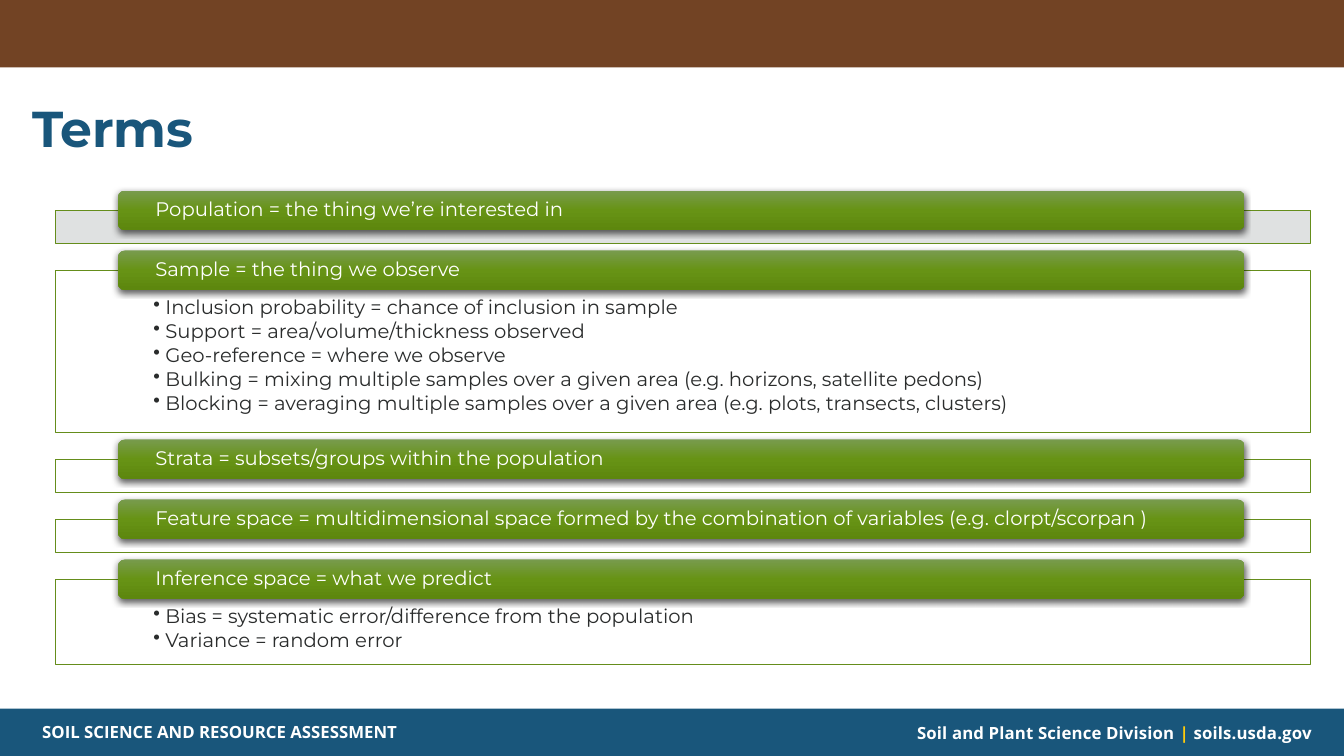
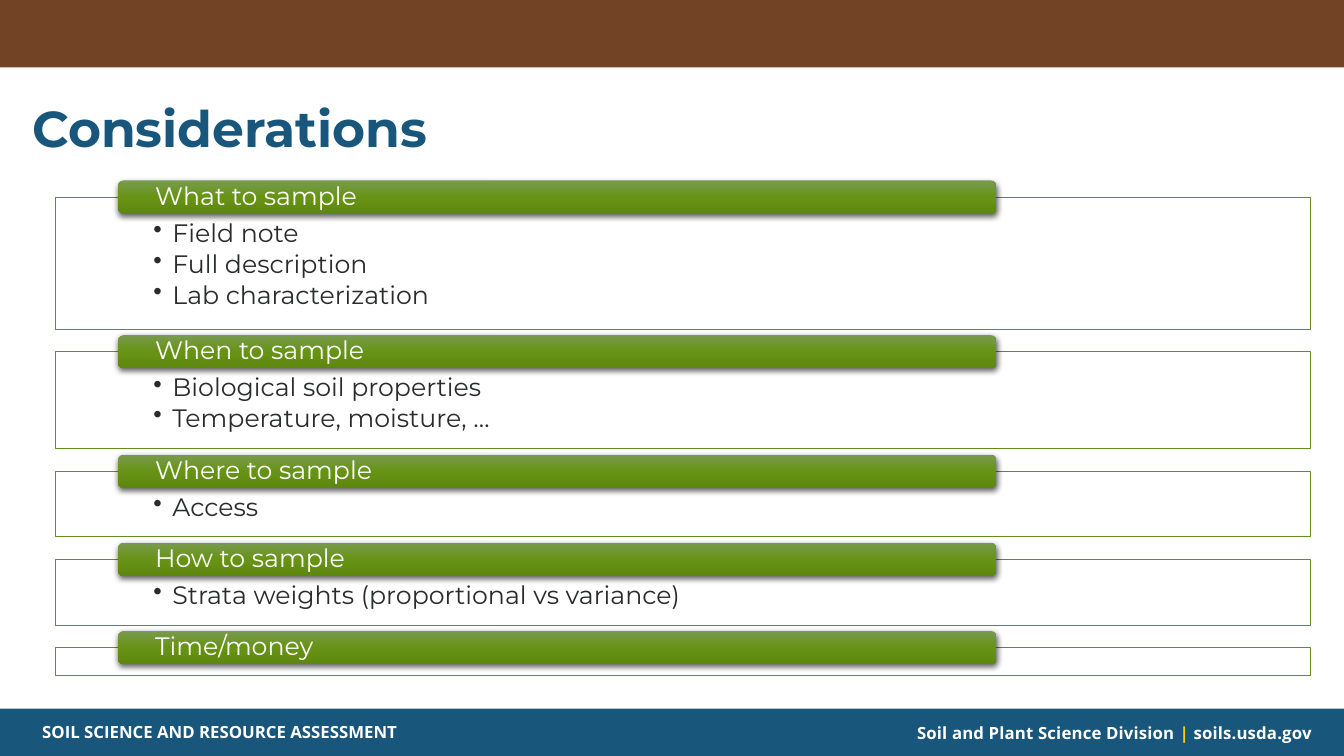
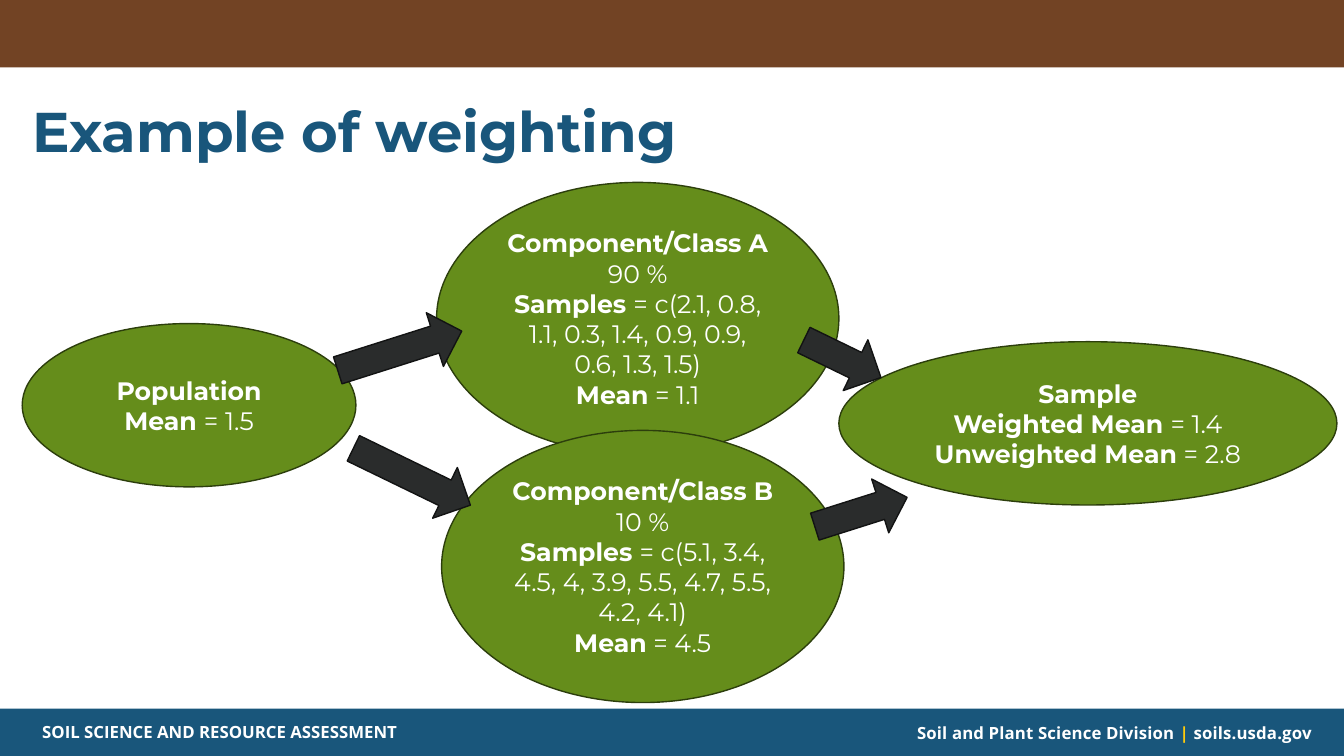
from dataclasses import dataclass

import lxml.etree
import pptx
import pptx.dml.color
import pptx.enum.shapes
import pptx.enum.text
import pptx.oxml.ns
import pptx.shapes.autoshape
import pptx.slide
import pptx.text.text
import pptx.util

RGBColor = pptx.dml.color.RGBColor
Inches = pptx.util.Inches
Pt = pptx.util.Pt
qn = pptx.oxml.ns.qn
MSO_SHAPE = pptx.enum.shapes.MSO_SHAPE
PP_ALIGN = pptx.enum.text.PP_ALIGN
MSO_ANCHOR = pptx.enum.text.MSO_ANCHOR
Shape = pptx.shapes.autoshape.Shape
Slide = pptx.slide.Slide
Paragraph = pptx.text.text._Paragraph

# Shared style
WIDTH, HEIGHT = 13.33, 7.5
HEADING_FONT, FOOTER_FONT = "Montserrat", "Open Sans"
WHITE = RGBColor(0xFF, 0xFF, 0xFF)
BROWN = RGBColor(0x72, 0x43, 0x24)
BLUE = RGBColor(0x19, 0x56, 0x7B)
YELLOW = RGBColor(0xFF, 0xCB, 0x0B)
GREEN = RGBColor(0x65, 0x8D, 0x1B)
DARK_GREEN = RGBColor(0x2C, 0x3E, 0x0C)
CHARCOAL = RGBColor(0x2A, 0x2C, 0x2C)
NEAR_BLACK = RGBColor(0x12, 0x13, 0x13)
PALE_GREY = RGBColor(0xDC, 0xDE, 0xDE)
TAB_GRADIENT = (
    (0, RGBColor(0x78, 0x9B, 0x4E)),
    (50, RGBColor(0x67, 0x93, 0x15)),
    (100, RGBColor(0x5D, 0x87, 0x0E)),
)

# Term lists: all panels share one column
PANEL_LEFT, PANEL_WIDTH = 0.55, 12.45
TAB_LEFT = PANEL_LEFT + 0.05 * PANEL_WIDTH


@dataclass(frozen=True)
class Box:
    left: float
    top: float
    width: float
    height: float

    def emu(self) -> tuple[int, ...]:
        return tuple(Inches(v) for v in (self.left, self.top, self.width, self.height))


@dataclass(frozen=True)
class Term:
    heading: str
    panel_height: float
    points: tuple[str, ...] = ()
    panel_fill: RGBColor = WHITE


@dataclass(frozen=True)
class ListStyle:
    top: float
    tab_width: float
    tab_height: float
    gap: float
    size: float
    indent: float
    inset_top: float
    inset_bottom: float


@dataclass(frozen=True)
class Line:
    bold: str = ""
    regular: str = ""


@dataclass(frozen=True)
class Group:
    box: Box
    lines: tuple[Line, ...]


@dataclass(frozen=True)
class Flow:
    box: Box
    rotation: float


# Drawing helpers
def add_run(paragraph: Paragraph, text: str, size: float, color: RGBColor,
            bold: bool = False, font: str = HEADING_FONT):
    run = paragraph.add_run()
    run.text = text
    run.font.size = Pt(size)
    run.font.name = font
    run.font.bold = bold
    run.font.color.rgb = color
    return run


def add_shape(slide: Slide, kind: MSO_SHAPE, box: Box, fill: RGBColor,
              outline: RGBColor | None = None, outline_width: float = 1) -> Shape:
    shape = slide.shapes.add_shape(kind, *box.emu())
    shape.shadow.inherit = False
    shape.fill.solid()
    shape.fill.fore_color.rgb = fill
    if outline is None:
        shape.line.fill.background()
    else:
        shape.line.color.rgb = outline
        shape.line.width = Pt(outline_width)
    return shape


def add_label(slide: Slide, box: Box) -> Paragraph:
    frame = slide.shapes.add_textbox(*box.emu()).text_frame
    frame.word_wrap = True
    return frame.paragraphs[0]


def set_insets(shape: Shape, side: float, top: float = 0, bottom: float = 0) -> None:
    frame = shape.text_frame
    frame.word_wrap = True
    frame.margin_left = frame.margin_right = Inches(side)
    frame.margin_top, frame.margin_bottom = Inches(top), Inches(bottom)


def add_color(parent, color: RGBColor, alpha: int = 100) -> None:
    value = lxml.etree.SubElement(parent, qn("a:srgbClr"), val=str(color))
    if alpha < 100:
        lxml.etree.SubElement(value, qn("a:alpha"), val=str(alpha * 1000))


def style_tab(tab: Shape) -> None:
    """Three-stop vertical gradient with a soft shadow below."""
    tab.fill.gradient()
    tab.fill.gradient_angle = 270
    properties = tab._element.spPr
    stops = properties.find(qn("a:gradFill")).find(qn("a:gsLst"))
    for stop in list(stops):
        stops.remove(stop)
    for position, color in TAB_GRADIENT:
        add_color(lxml.etree.SubElement(stops, qn("a:gs"), pos=str(position * 1000)), color)
    shadow = lxml.etree.SubElement(
        properties.find(qn("a:effectLst")), qn("a:outerShdw"),
        blurRad=str(Pt(4.5)), dist=str(Pt(1.5)), dir="5400000", rotWithShape="0")
    add_color(shadow, RGBColor(0, 0, 0), 63)


def set_bullet(paragraph: Paragraph, indent: float) -> None:
    properties = paragraph._p.get_or_add_pPr()
    properties.set("marL", str(Inches(indent)))
    properties.set("indent", str(-Inches(indent)))
    lxml.etree.SubElement(properties, qn("a:buChar"), char="•")


# Slide frame: bands, footer and title
def add_framed_slide(deck, title: str, title_size: float = 36) -> Slide:
    slide = deck.slides.add_slide(deck.slide_layouts[6])
    add_shape(slide, MSO_SHAPE.RECTANGLE, Box(0, 0, WIDTH, 0.67), BROWN)
    add_shape(slide, MSO_SHAPE.RECTANGLE, Box(0, 7.03, WIDTH, HEIGHT - 7.03), BLUE)

    division = add_label(slide, Box(8.2, 7.12, 4.91, 0.3))
    division.alignment = PP_ALIGN.RIGHT
    for text, color in (("Soil and Plant Science Division ", WHITE),
                        ("|", YELLOW), (" soils.usda.gov", WHITE)):
        run = add_run(division, text, 12, color, True, FOOTER_FONT)
        run._r.get_or_add_rPr().set("spc", "10")

    program = add_label(slide, Box(0.32, 7.11, 4.91, 0.3))
    add_run(program, "SOIL SCIENCE AND RESOURCE ASSESSMENT", 12, WHITE, True, FOOTER_FONT)

    heading = add_label(slide, Box(0.22, 0.91, 11.5, 0.69))
    add_run(heading, title, title_size, BLUE, True)
    return slide


# Term list: each tab straddles the top edge of its panel
def add_terms(slide: Slide, terms: tuple[Term, ...], style: ListStyle) -> None:
    tab_top = style.top
    for term in terms:
        panel_top = tab_top + style.tab_height / 2
        panel = add_shape(slide, MSO_SHAPE.RECTANGLE,
                          Box(PANEL_LEFT, panel_top, PANEL_WIDTH, term.panel_height),
                          term.panel_fill, GREEN, 0.5)
        fill_color = panel._element.spPr.find(qn("a:solidFill"))[0]
        lxml.etree.SubElement(fill_color, qn("a:alpha"), val="90000")
        if term.points:
            add_points(panel, term.points, style)

        tab = add_shape(slide, MSO_SHAPE.ROUNDED_RECTANGLE,
                        Box(TAB_LEFT, tab_top, style.tab_width, style.tab_height), GREEN)
        style_tab(tab)
        set_insets(tab, 0.35)
        tab.text_frame.vertical_anchor = MSO_ANCHOR.MIDDLE
        heading = tab.text_frame.paragraphs[0]
        heading.alignment = PP_ALIGN.LEFT
        heading.line_spacing = 0.9
        heading.space_after = Pt(0.35 * style.size)
        add_run(heading, term.heading, style.size, WHITE)

        tab_top = panel_top + term.panel_height + style.gap


def add_points(panel: Shape, points: tuple[str, ...], style: ListStyle) -> None:
    set_insets(panel, 0.97, style.inset_top, style.inset_bottom)
    frame = panel.text_frame
    frame.vertical_anchor = MSO_ANCHOR.TOP
    for index, point in enumerate(points):
        paragraph = frame.add_paragraph() if index else frame.paragraphs[0]
        paragraph.alignment = PP_ALIGN.LEFT
        paragraph.line_spacing = 0.9
        paragraph.space_after = Pt(0.15 * style.size)
        set_bullet(paragraph, style.indent)
        add_run(paragraph, point, style.size, CHARCOAL)


# Weighting diagram
def add_group(slide: Slide, group: Group) -> None:
    oval = add_shape(slide, MSO_SHAPE.OVAL, group.box, GREEN, DARK_GREEN)
    frame = oval.text_frame
    frame.word_wrap = True
    frame.vertical_anchor = MSO_ANCHOR.MIDDLE
    for index, line in enumerate(group.lines):
        paragraph = frame.add_paragraph() if index else frame.paragraphs[0]
        paragraph.alignment = PP_ALIGN.CENTER
        for text, bold in ((line.bold, True), (line.regular, False)):
            if text:
                add_run(paragraph, text, 18, WHITE, bold)


def add_flow(slide: Slide, flow: Flow) -> None:
    arrow = add_shape(slide, MSO_SHAPE.RIGHT_ARROW, flow.box, CHARCOAL, NEAR_BLACK)
    arrow.rotation = flow.rotation


# Content
TERMS_STYLE = ListStyle(top=1.89, tab_width=11.17, tab_height=0.39, gap=0.07, size=14,
                        indent=0.12, inset_top=0.27, inset_bottom=0.11)
TERMS = (
    Term("Population = the thing we’re interested in", 0.33, panel_fill=PALE_GREY),
    Term("Sample = the thing we observe", 1.61, (
        "Inclusion probability = chance of inclusion in sample",
        "Support = area/volume/thickness observed",
        "Geo-reference = where we observe",
        "Bulking = mixing multiple samples over a given area "
        "(e.g. horizons, satellite pedons)",
        "Blocking = averaging multiple samples over a given area "
        "(e.g. plots, transects, clusters)",
    )),
    Term("Strata = subsets/groups within the population", 0.33),
    Term("Feature space = multidimensional space formed by the combination of variables "
         "(e.g. clorpt/scorpan )", 0.33),
    Term("Inference space = what we predict", 0.85, (
        "Bias = systematic error/difference from the population",
        "Variance = random error",
    )),
)

CONSIDERATIONS_STYLE = ListStyle(top=1.79, tab_width=8.71, tab_height=0.33, gap=0.06,
                                 size=18, indent=0.19, inset_top=0.23, inset_bottom=0.14)
CONSIDERATIONS = (
    Term("What to sample", 1.31,
         ("Field note", "Full description", "Lab characterization")),
    Term("When to sample", 0.96,
         ("Biological soil properties", "Temperature, moisture, …")),
    Term("Where to sample", 0.65, ("Access",)),
    Term("How to sample", 0.65, ("Strata weights (proportional vs variance)",)),
    Term("Time/money", 0.28),
)

GROUPS = (
    Group(Box(0.22, 3.21, 3.31, 1.62), (Line("Population"), Line("Mean ", "= 1.5"))),
    Group(Box(4.33, 1.81, 3.99, 2.7), (
        Line("Component/Class A"),
        Line(regular="90 %"),
        Line("Samples ", "= c(2.1, 0.8, 1.1, 0.3, 1.4, 0.9, 0.9, 0.6, 1.3, 1.5)"),
        Line("Mean", " = 1.1"),
    )),
    Group(Box(4.38, 4.27, 3.99, 2.7), (
        Line("Component/Class B"),
        Line(regular="10 %"),
        Line("Samples ", "= c(5.1, 3.4, 4.5, 4, 3.9, 5.5, 4.7, 5.5, 4.2, 4.1)"),
        Line("Mean", " = 4.5"),
    )),
    Group(Box(8.32, 3.39, 4.94, 1.62), (
        Line("Sample"),
        Line("Weighted Mean ", "= 1.4"),
        Line("Unweighted Mean", " = 2.8"),
    )),
)
RISING, FALLING = 342.4, 25.9
FLOWS = (
    Flow(Box(3.32, 3.2, 1.29, 0.56), RISING),
    Flow(Box(3.44, 4.45, 1.29, 0.56), FALLING),
    Flow(Box(7.93, 3.28, 0.85, 0.56), FALLING),
    Flow(Box(8.06, 4.8, 0.96, 0.56), RISING),
)


def main() -> None:
    deck = pptx.Presentation()
    deck.slide_width, deck.slide_height = Inches(WIDTH), Inches(HEIGHT)

    add_terms(add_framed_slide(deck, "Terms"), TERMS, TERMS_STYLE)
    add_terms(add_framed_slide(deck, "Considerations"), CONSIDERATIONS, CONSIDERATIONS_STYLE)

    weighting = add_framed_slide(deck, "Example of weighting", 40)
    for group in GROUPS:
        add_group(weighting, group)
    for flow in FLOWS:
        add_flow(weighting, flow)

    deck.save("out.pptx")


if __name__ == "__main__":
    main()
